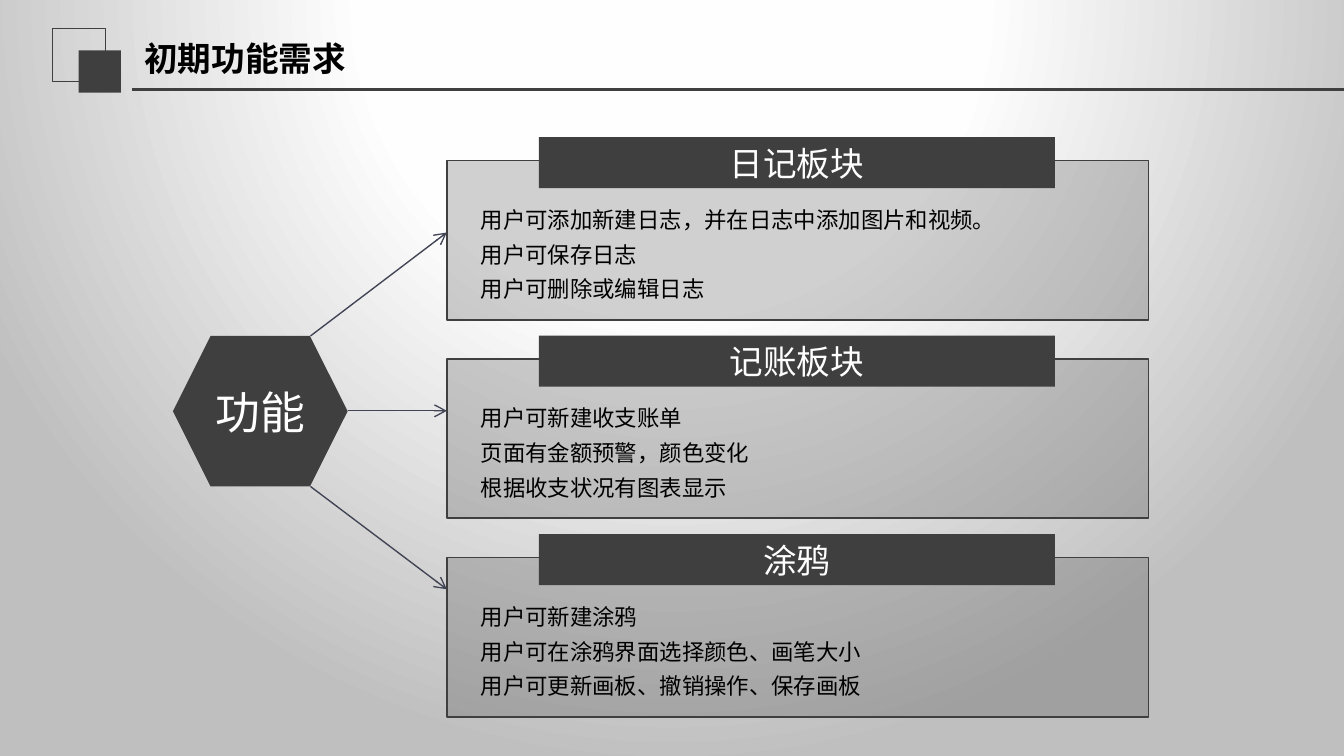
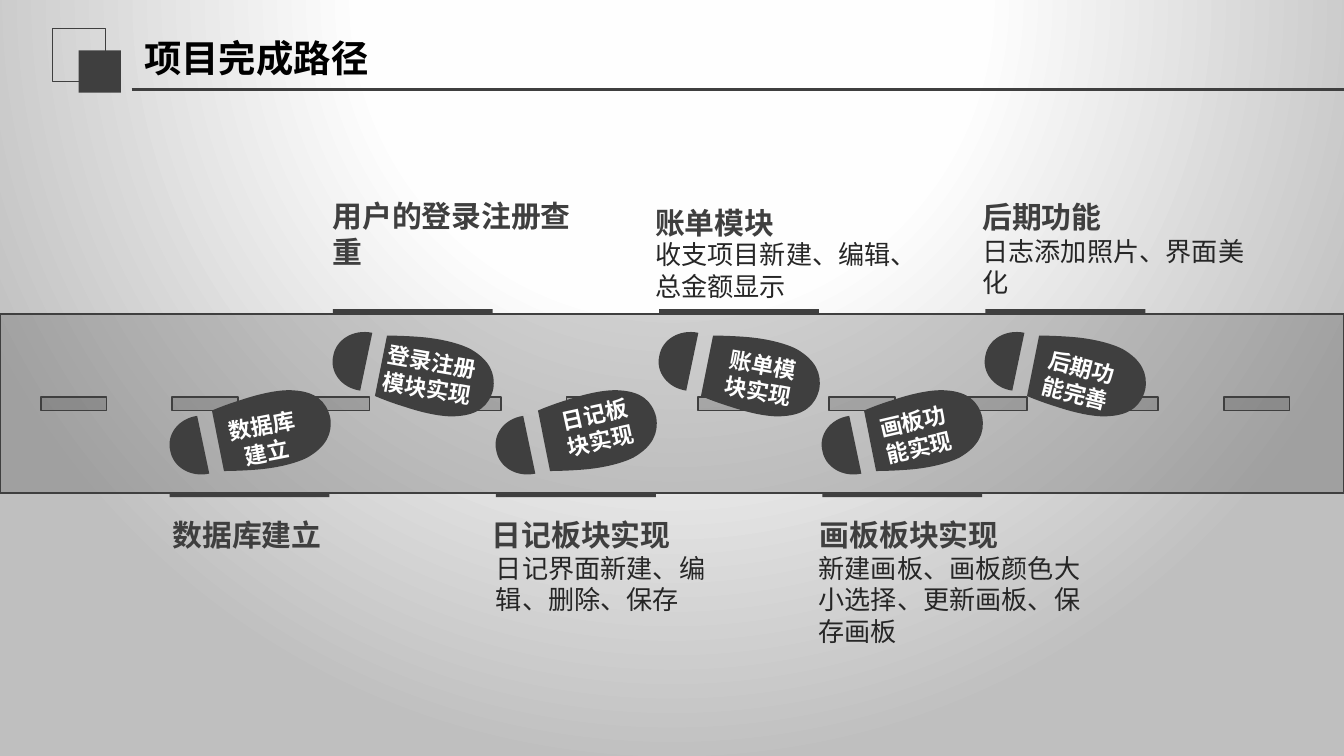
"""Build two slides on the functions and the work path of a diary app."""
from dataclasses import dataclass

from lxml.etree import SubElement
from pptx import Presentation
from pptx.dml.color import RGBColor
from pptx.enum.shapes import MSO_CONNECTOR as LINK, MSO_SHAPE as KIND
from pptx.enum.text import MSO_ANCHOR as ANCHOR, MSO_AUTO_SIZE as AUTO, PP_ALIGN as ALIGN
from pptx.oxml import parse_xml
from pptx.oxml.ns import nsdecls, qn
from pptx.util import Emu, Inches, Pt


@dataclass(frozen=True)
class Theme:
    """Colours, fonts and type sizes of the deck."""
    dark: str = "3F3F3F"
    ink: str = "262626"
    black: str = "000000"
    white: str = "FFFFFF"
    link: str = "414455"
    glow: tuple = ((0, "FFFFFF"), (40, "FEFEFE"), (100, "BFBFBF"))
    veil: int = 24
    font: str = "Noto Sans CJK SC"
    latin: str = "Calibri"
    hub: int = 24
    title: int = 20
    head: int = 18
    step: int = 16
    note: int = 14
    small: int = 12
    tight: float = 1.2
    loose: float = 1.55


T = Theme()
COLS, ROWS = 100, 56.25
PAD = (0.7, 0.4)

PANELS = (
    ("日记板块", ("用户可添加新建日志，并在日志中添加图片和视频。", "用户可保存日志", "用户可删除或编辑日志")),
    ("记账板块", ("用户可新建收支账单", "页面有金额预警，颜色变化", "根据收支状况有图表显示")),
    ("涂鸦", ("用户可新建涂鸦", "用户可在涂鸦界面选择颜色、画笔大小", "用户可更新画板、撤销操作、保存画板")),
)

TAGS = (
    ("数据库建立", (16, 30.25, 7.3), -11.1),
    ("登录注册模块实现", (27.35, 25.5, 9.2), 9.9),
    ("日记板块实现", (40.8, 29.4, 7.3), -12.4),
    ("账单模块实现", (52.95, 25.7, 7.3), 10.5),
    ("画板功能实现", (64.5, 29.9, 7.3), -13.1),
    ("后期功能完善", (76.6, 25.9, 7.3), 14.1),
)

HEADS = (
    ("数据库建立", 12.85, 38.45),
    ("用户的登录注册查重", 24.75, 14.7),
    ("日记板块实现", 36.6, 38.45),
    ("账单模块", 48.75, 15.2),
    ("画板板块实现", 61, 38.45),
    ("后期功能", 73.1, 14.8),
)

NOTES = (
    ("日记界面新建、编辑、删除、保存", 36.9, 41.1, 16.9),
    ("收支项目新建、编辑、总金额显示", 48.75, 17.75, 19.8),
    ("新建画板、画板颜色大小选择、更新画板、保存画板", 60.9, 41.1, 19.8),
    ("日志添加照片、界面美化", 73.1, 17.5, 19.8),
)

HEEL = (
    (2.1, 4.3),
    (0.7, 4.1), (-0.2, 2.9), (0.1, 1.7),
    (0.3, 0.5), (1.6, -0.3), (3, 0),
)
SOLE = (
    (3.2, 4.7),
    (3.2, 4.7), (4.1, 5.1), (5.4, 5.5),
    (6.6, 5.9), (8.2, 6.3), (9.3, 6.2),
    (10.9, 6.1), (11.7, 5.4), (12, 4.2),
    (12.2, 3), (11.7, 2), (10.3, 1.2),
    (9.3, 0.7), (7.8, 0.4), (6.5, 0.3),
    (5.2, 0.2), (4.1, 0.2), (4.1, 0.2),
)


def unit(num):
    """Turn grid cells of a tenth of an inch into a length."""
    return Emu(round(num * Inches(0.1)))


def tint(text):
    """Turn a hex string into a colour."""
    return RGBColor.from_string(text)


def paint(shape, fill=None, line=None, width=1, veil=None):
    """Set the fill, outline and see-through share of a shape."""
    shape.shadow.inherit = False
    if fill:
        shape.fill.solid()
        shape.fill.fore_color.rgb = tint(fill)
    else:
        shape.fill.background()
    if line:
        shape.line.color.rgb = tint(line)
        shape.line.width = Pt(width)
    else:
        shape.line.fill.background()
    if veil:
        hue = shape.fill._xPr.find(".//" + qn("a:srgbClr"))
        SubElement(hue, qn("a:alpha"), val=str(veil * 1000))
    return shape


def block(slide, box, kind=KIND.RECTANGLE, **look):
    """Add a preset shape."""
    return paint(slide.shapes.add_shape(kind, *map(unit, box)), **look)


def glass(slide, box):
    """Add a see-through outlined box."""
    return block(slide, box, fill=T.dark, line=T.dark, veil=T.veil)


def write(shape, lines, size, color, bold=False, font=T.font, align=ALIGN.LEFT,
          anchor=ANCHOR.TOP, pad=PAD, lead=None):
    """Fill a shape with one run per paragraph."""
    frame = shape.text_frame
    frame.word_wrap = True
    frame.vertical_anchor = anchor
    frame.margin_left = frame.margin_right = unit(pad[0])
    frame.margin_top = frame.margin_bottom = unit(pad[1])
    for num, line in enumerate(lines):
        para = frame.add_paragraph() if num else frame.paragraphs[0]
        para.alignment = align
        if lead:
            para.line_spacing = Pt(size * lead)
        run = para.add_run()
        run.text = line
        run.font.size = Pt(size)
        run.font.bold = bold
        run.font.color.rgb = tint(color)
        run.font.name = font
        SubElement(run._r.get_or_add_rPr(), qn("a:ea"), typeface=T.font)
    return shape


def label(slide, box, lines, size, color, **style):
    """Add a text box that grows with its text."""
    shape = write(slide.shapes.add_textbox(*map(unit, box)), lines, size, color, **style)
    shape.text_frame.auto_size = AUTO.SHAPE_TO_FIT_TEXT
    return shape


def plate(slide, box, text, size, kind=KIND.RECTANGLE):
    """Add a dark shape with a centred caption."""
    write(block(slide, box, kind, fill=T.dark), [text], size, T.white,
          align=ALIGN.CENTER, anchor=ANCHOR.MIDDLE)


def rule(slide, start, end, color, width, arrow=False):
    """Add a straight line, with an arrowhead if asked."""
    line = slide.shapes.add_connector(LINK.STRAIGHT, *map(unit, start + end))
    line.line.color.rgb = tint(color)
    line.line.width = Pt(width)
    if arrow:
        SubElement(line.line._get_or_add_ln(), qn("a:tailEnd"), type="arrow")
    SubElement(line._element.spPr, qn("a:effectLst"))


def curve(slide, spots):
    """Add a closed outline of cubic curves, three spots for each."""
    spots = [(unit(x), unit(y)) for x, y in spots]
    form = slide.shapes.build_freeform(*spots[0], scale=1.0)
    form.add_line_segments(spots[1:], close=True)
    shape = paint(form.convert_to_shape(), fill=T.dark)
    legs = list(shape._element.iter(qn("a:lnTo")))
    for num in range(0, len(legs), 3):
        trio = legs[num:num + 3]
        bend = trio[0].makeelement(qn("a:cubicBezTo"))
        trio[0].addprevious(bend)
        for leg in trio:
            bend.append(leg[0])
            leg.getparent().remove(leg)


def foot(slide, left, top, flip):
    """Draw a heel and a sole as a group, turned over if flip is -1."""
    group = slide.shapes.add_group_shape()
    for part in (HEEL, SOLE):
        curve(group, [(left + x, top + flip * y) for x, y in part])


def glow(deck):
    """Give the master a round gradient background."""
    stops = "".join(f'<a:gs pos="{pos * 1000}"><a:srgbClr val="{hue}"/></a:gs>'
                    for pos, hue in T.glow)
    page = deck.slide_master.element.cSld
    for old in page.findall(qn("p:bg")):
        page.remove(old)
    page.insert(0, parse_xml(
        f'<p:bg {nsdecls("p", "a")}><p:bgPr><a:gradFill><a:gsLst>{stops}</a:gsLst>'
        '<a:path path="circle"><a:fillToRect l="50000" t="-80000" r="50000" b="180000"/>'
        '</a:path></a:gradFill><a:effectLst/></p:bgPr></p:bg>'))


def page(deck, title, size):
    """Add a blank slide with the shared title band."""
    slide = deck.slides.add_slide(deck.slide_layouts[6])
    block(slide, (3.93, 2.1, 3.9, 3.95), line=T.dark, width=0.75)
    block(slide, (5.85, 3.75, 3.15, 3.15), fill=T.dark)
    rule(slide, (9.8, 6.65), (COLS, 6.65), T.dark, 1.25)
    write(slide.shapes.add_textbox(*map(unit, (9.75, 2.15, 35.6, 4.3))), [title], size,
          T.black, bold=True, font=T.latin, anchor=ANCHOR.MIDDLE, pad=(1, 0.5))
    return slide


def needs(deck):
    """Build the slide of first needs."""
    slide = page(deck, "初期功能需求", T.head)
    for num, (name, lines) in enumerate(PANELS):
        top = 10.2 + 14.77 * num
        glass(slide, (33.25, top + 1.75, 52.2, 11.85))
        plate(slide, (40.1, top, 38.4, 3.8), name, T.head)
        label(slide, (35.07, top + 4.15, 49.6, 8.6), lines, T.small, T.black, lead=T.loose)
    plate(slide, (12.87, 25, 13, 11.2), "功能", T.hub, KIND.HEXAGON)
    for start, end in (((23.1, 25), 17.3), ((25.87, 30.57), 30.57), ((23.1, 36.2), 43.85)):
        rule(slide, start, (33.25, end), T.link, 0.75, arrow=True)


def route(deck):
    """Build the slide of the work path."""
    slide = page(deck, "项目完成路径", T.title)
    road = slide.shapes.add_group_shape()
    glass(road, (0, 23.37, COLS, 13.3))
    for num in range(10):
        glass(road, (3.03, 29.55, 4.9, 1) if not num else (3.03 + 9.78 * num, 29.55, 4.9, 1))
    count = range(len(TAGS))
    for num in count:
        foot(slide, 12.57 + 12.13 * num, *((24.77, 1) if num % 2 else (35.25, -1)))
    for num in count:
        block(slide, (12.62 + 12.14 * num, 23 if num % 2 else 36.7, 11.9, 0.3), fill=T.dark)
    for name, spot, tilt in TAGS:
        tag = label(slide, (*spot, 4.8), [name], T.small, T.white, bold=True,
                    align=ALIGN.CENTER, pad=(0.8, 0.4), lead=T.tight)
        tag.rotation = tilt
    for text, left, top in HEADS:
        label(slide, (left, top, 19.8, 2.7), [text], T.step, T.dark, bold=True,
              pad=(0, 0), lead=T.tight)
    for text, left, top, wide in NOTES:
        label(slide, (left, top, wide, 4.7), [text], T.note, T.ink,
              pad=(0, 0), lead=T.tight)


def main():
    """Build and save the deck."""
    deck = Presentation()
    deck.slide_width, deck.slide_height = unit(COLS), unit(ROWS)
    glow(deck)
    needs(deck)
    route(deck)
    deck.save("out.pptx")


if __name__ == "__main__":
    main()
